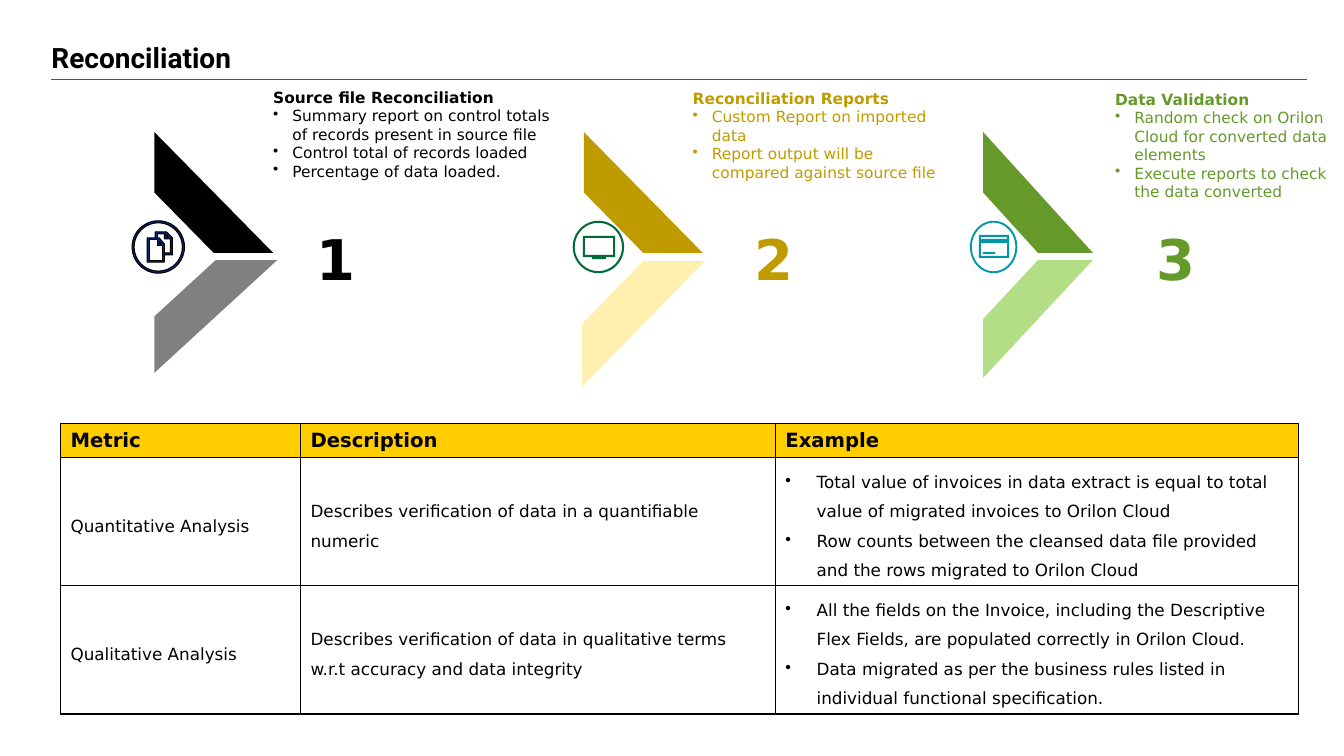
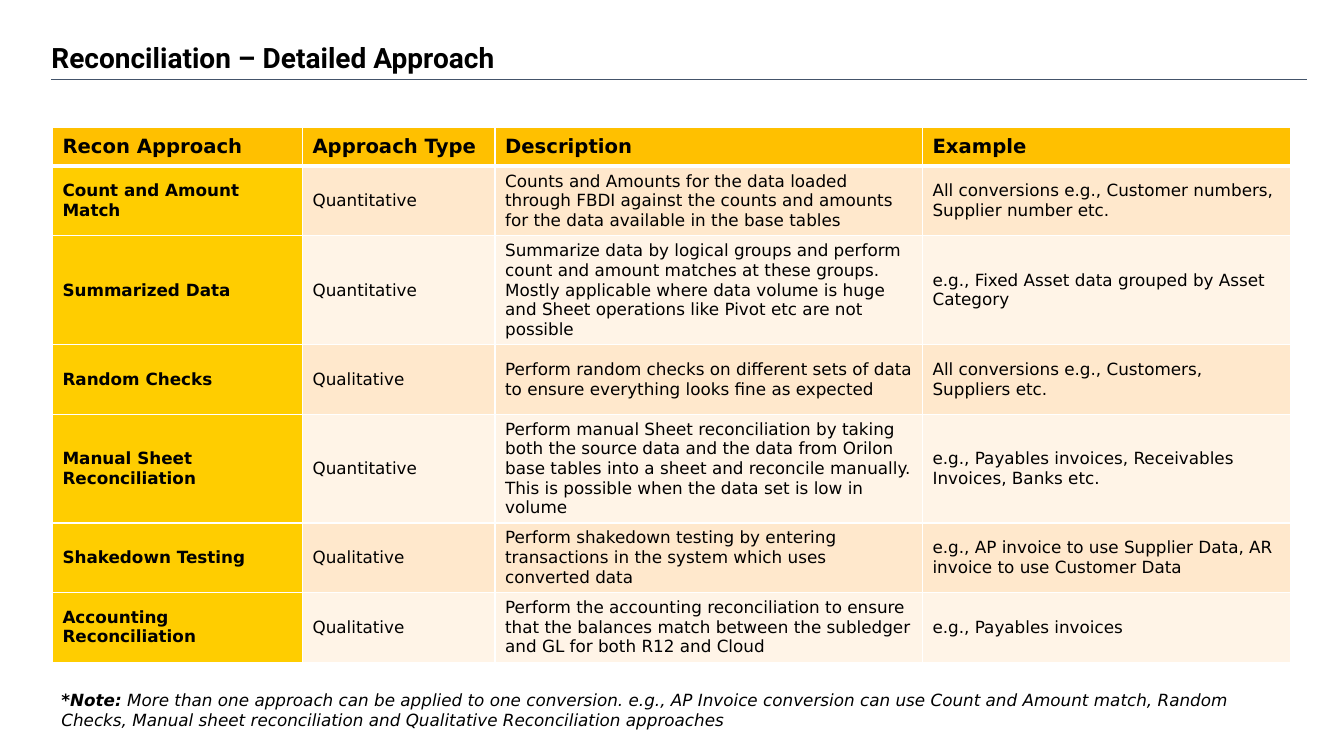
from dataclasses import dataclass

from lxml import etree
from pptx import Presentation
from pptx.dml.color import RGBColor
from pptx.enum import shapes as kinds, text as txt
from pptx.oxml import ns
from pptx.util import Inches, Pt


@dataclass(frozen=True)
class Theme:
    title_font: str = "Roboto"
    body_font: str = "DejaVu Sans"
    ink: str = "000000"
    white: str = "FFFFFF"
    rule: str = "44546A"
    yellow: str = "FFCD00"
    amber: str = "FFC000"
    bands: tuple = ("FFE8CC", "FFF4E7")
    title_size: int = 20
    head_size: int = 14
    body_size: int = 12
    step_size: int = 11
    number_size: int = 40


THEME = Theme()


@dataclass(frozen=True)
class Step:
    """One stage; boxes are (left, top, width, height) in inches within the row."""
    number: str
    heading: str
    points: tuple
    color: str
    tint: str
    icon_color: str
    icon: tuple
    text_box: tuple
    number_left: float
    upper: tuple
    lower: tuple
    ring: tuple
    icon_outlined: bool = False


def rectangle(left, top, right, bottom):
    return ((left, top), (right, top), (right, bottom), (left, bottom))


# Icon contours in inches from the top left of the ring; nested contours are holes.
PAGES = (
    ((.4, .17), (.34, .11), (.23, .11), (.23, .17), (.15, .17), (.15, .41),
     (.32, .41), (.32, .34), (.4, .34)),
    ((.34, .14), (.36, .16), (.34, .16)),
    ((.3, .39), (.17, .39), (.17, .19), (.25, .19), (.25, .25), (.3, .25)),
    ((.27, .23), (.27, .21), (.29, .23)),
    ((.38, .32), (.32, .32), (.32, .23), (.27, .17), (.25, .17), (.25, .13),
     (.32, .13), (.32, .18), (.38, .18)),
)
MONITOR = (
    ((.1, .15), (.42, .15), (.42, .36), (.33, .36), (.33, .38), (.19, .38),
     (.19, .36), (.1, .36)),
    rectangle(.12, .17, .4, .34),
)
CARD = (
    rectangle(.09, .14, .39, .37),
    rectangle(.11, .16, .37, .18),
    rectangle(.11, .22, .37, .35),
    rectangle(.13, .31, .25, .33),
)

STEPS = (
    Step("1", "Source file Reconciliation",
         ("Summary report on control totals of records present in source file",
          "Control total of records loaded", "Percentage of data loaded."),
         "000000", "808080", "002776", PAGES,
         text_box=(2.71, 0, 2.81, .93), number_left=3.1,
         upper=(1.53, .44, 1.18, 1.2), lower=(1.53, 1.71, 1.22, 1.12),
         ring=(1.31, 1.32, .52, .52), icon_outlined=True),
    Step("2", "Reconciliation Reports",
         ("Custom Report on imported data",
          "Report output will be compared against source file"),
         "C09B00", "FFF0AF", "046A38", MONITOR,
         text_box=(6.87, .01, 2.51, .93), number_left=7.44,
         upper=(5.79, .44, 1.18, 1.2), lower=(5.77, 1.72, 1.22, 1.25),
         ring=(5.68, 1.32, .51, .52)),
    Step("3", "Data Validation",
         ("Random check on Orilon Cloud for converted data elements",
          "Execute reports to check the data converted"),
         "659A2A", "B4DE86", "0097A9", CARD,
         text_box=(11.06, .02, 2.38, 1.11), number_left=11.43,
         upper=(9.75, .44, 1.09, 1.2), lower=(9.75, 1.71, 1.09, 1.17),
         ring=(9.62, 1.32, .47, .52)),
)

METRICS = (
    ("Metric", "Description", "Example"),
    ("Quantitative Analysis", "Describes verification of data in a quantifiable numeric",
     ("Total value of invoices in data extract is equal to total value of migrated "
      "invoices to Orilon Cloud",
      "Row counts between the cleansed data file provided and the rows migrated to "
      "Orilon Cloud")),
    ("Qualitative Analysis",
     "Describes verification of data in qualitative terms w.r.t accuracy and data integrity",
     ("All the fields on the Invoice, including the Descriptive Flex Fields, are "
      "populated correctly in Orilon Cloud.",
      "Data migrated as per the business rules listed in individual functional "
      "specification.")),
)

APPROACHES = (
    ("Recon Approach", "Approach Type", "Description", "Example"),
    ("Count and Amount Match", "Quantitative",
     "Counts and Amounts for the data loaded through FBDI against the counts and "
     "amounts for the data available in the base tables",
     "All conversions e.g., Customer numbers, Supplier number etc."),
    ("Summarized Data", "Quantitative",
     "Summarize data by logical groups and perform count and amount matches at these "
     "groups. Mostly applicable where data volume is huge and Sheet operations like "
     "Pivot etc are not possible",
     "e.g., Fixed Asset data grouped by Asset Category"),
    ("Random Checks", "Qualitative",
     "Perform random checks on different sets of data to ensure everything looks fine "
     "as expected",
     "All conversions e.g., Customers, Suppliers etc."),
    ("Manual Sheet Reconciliation", "Quantitative",
     "Perform manual Sheet reconciliation by taking both the source data and the data "
     "from Orilon base tables into a sheet and reconcile manually. This is possible "
     "when the data set is low in volume",
     "e.g., Payables invoices, Receivables Invoices, Banks etc."),
    ("Shakedown Testing", "Qualitative",
     "Perform shakedown testing by entering transactions in the system which uses "
     "converted data",
     "e.g., AP invoice to use Supplier Data, AR invoice to use Customer Data"),
    ("Accounting Reconciliation", "Qualitative",
     "Perform the accounting reconciliation to ensure that the balances match between "
     "the subledger and GL for both R12 and Cloud",
     "e.g., Payables invoices"),
)

NOTE = ("*Note:", " More than one approach can be applied to one conversion. e.g., AP "
        "Invoice conversion can use Count and Amount match, Random Checks, Manual sheet "
        "reconciliation and Qualitative Reconciliation approaches")


def inches(*lengths):
    return [Inches(length) for length in lengths]


def rgb(color):
    return RGBColor.from_string(color)


def style(run, size, color=THEME.ink, bold=False, italic=False, font=THEME.body_font):
    run.font.size, run.font.name = Pt(size), font
    run.font.bold, run.font.italic = bold, italic
    run.font.color.rgb = rgb(color)


def bullet(paragraph, indent):
    properties = paragraph._p.get_or_add_pPr()
    properties.set("marL", str(Inches(indent)))
    properties.set("indent", str(-Inches(indent)))
    etree.SubElement(properties, ns.qn("a:buChar")).set("char", "•")


def write(frame, lines, size, color=THEME.ink, bold=False, indent=0, spacing=None):
    """Append lines as paragraphs, filling the first one if it is empty."""
    for line in lines:
        first = frame.paragraphs[0]
        paragraph = frame.add_paragraph() if first.runs else first
        paragraph.text = line
        if indent:
            bullet(paragraph, indent)
        if spacing:
            paragraph.line_spacing = spacing
        style(paragraph.runs[0], size, color, bold)


def add_text(slide, box, margin=None):
    frame = slide.shapes.add_textbox(*inches(*box)).text_frame
    frame.word_wrap = True
    frame.auto_size = txt.MSO_AUTO_SIZE.SHAPE_TO_FIT_TEXT
    if margin is not None:
        set_margins(frame, margin)
    return frame


def set_margins(frame, margin):
    frame.margin_left = frame.margin_right = Inches(margin)
    frame.margin_top = frame.margin_bottom = Inches(margin)


def paint(shape, fill, line=None):
    shape.shadow.inherit = False
    shape.fill.solid()
    shape.fill.fore_color.rgb = rgb(fill)
    if line:
        shape.line.color.rgb = rgb(line)
        shape.line.width = Pt(0.75)
    else:
        shape.line.fill.background()


def titled_slide(deck, heading):
    slide = deck.slides.add_slide(deck.slide_layouts[5])
    title = slide.shapes.title
    title.left, title.top, title.width, title.height = inches(.51, .44, 12.31, .37)
    frame = title.text_frame
    frame.text = heading
    frame.auto_size = txt.MSO_AUTO_SIZE.NONE
    frame.vertical_anchor = txt.MSO_ANCHOR.TOP
    set_margins(frame, 0)
    paragraph = frame.paragraphs[0]
    paragraph.alignment = txt.PP_ALIGN.LEFT
    paragraph.line_spacing = 0.9
    style(paragraph.runs[0], THEME.title_size, bold=True, font=THEME.title_font)
    rule = slide.shapes.add_connector(kinds.MSO_CONNECTOR.STRAIGHT,
                                      *inches(.51, .79, 12.96, .79))
    rule.line.color.rgb = rgb(THEME.rule)
    rule.line.width = Pt(0.5)
    etree.SubElement(rule._element.spPr, ns.qn("a:effectLst"))
    return slide


def add_icon(slide, step, left, top, width, height):
    line = THEME.ink if step.icon_outlined else None
    parts = slide.shapes.add_group_shape().shapes
    (start, *rest), *holes = step.icon
    builder = parts.build_freeform(*inches(*start))
    builder.add_line_segments([inches(*point) for point in rest])
    for hole in holes:
        builder.move_to(*inches(*hole[0]))
        builder.add_line_segments([inches(*point) for point in hole[1:]])
    paint(builder.convert_to_shape(*inches(left, top)), step.icon_color, line)
    ring = parts.add_shape(kinds.MSO_SHAPE.DONUT, *inches(left, top, width, height))
    ring.adjustments[0] = 0.04
    paint(ring, step.icon_color, line)


def add_step(slide, step, row_top):
    def placed(box):
        left, top, width, height = box
        return left, row_top + top, width, height

    for box, color in ((step.lower, step.tint), (step.upper, step.color)):
        stripe = slide.shapes.add_shape(kinds.MSO_SHAPE.DIAGONAL_STRIPE,
                                        *inches(*placed(box)))
        paint(stripe, color)
    stripe._element.spPr.find(ns.qn("a:xfrm")).set("flipV", "1")
    add_icon(slide, step, *placed(step.ring))
    frame = add_text(slide, placed(step.text_box), margin=0)
    write(frame, [step.heading], THEME.step_size, step.color, bold=True)
    write(frame, step.points, THEME.step_size, step.color, indent=.19)
    number = add_text(slide, placed((step.number_left, 1.32, .42, .75)), margin=.04)
    write(number, [step.number], THEME.number_size, step.color, bold=True)


def border(cell, color, bottom_width=1):
    for side in "LRTB":
        line = etree.SubElement(cell._tc.get_or_add_tcPr(), ns.qn("a:ln" + side))
        line.set("w", str(Pt(bottom_width if side == "B" else 1)))
        fill = etree.SubElement(line, ns.qn("a:solidFill"))
        etree.SubElement(fill, ns.qn("a:srgbClr")).set("val", color)


def add_grid(slide, rows, left, top, widths, heights, line, fill_of, head_line=1,
             bold_first=False, spacing=None):
    """Table whose cell fills come from fill_of(row, column); tuples become bullets."""
    table = slide.shapes.add_table(
        len(rows), len(widths), *inches(left, top, sum(widths), sum(heights))).table
    table.horz_banding = False
    for column, width in zip(table.columns, widths):
        column.width = Inches(width)
    for r, (values, height) in enumerate(zip(rows, heights)):
        table.rows[r].height = Inches(height)
        for c, value in enumerate(values):
            cell = table.cell(r, c)
            border(cell, line, head_line if r == 0 else 1)
            cell.fill.solid()
            cell.fill.fore_color.rgb = rgb(fill_of(r, c))
            cell.vertical_anchor = txt.MSO_ANCHOR.MIDDLE
            listed = isinstance(value, tuple)
            write(cell.text_frame, value if listed else [value],
                  THEME.body_size if r else THEME.head_size,
                  bold=r == 0 or (bold_first and c == 0),
                  indent=.31 if listed else 0, spacing=spacing if r else None)


def reconciliation_slide(deck):
    slide = titled_slide(deck, "Reconciliation")
    add_grid(slide, METRICS, .6, 4.2, (2.38, 4.71, 5.19), (.34, 1.27, 1.27), THEME.ink,
             lambda r, c: THEME.white if r else THEME.yellow, spacing=1.5)
    for step in STEPS:
        add_step(slide, step, row_top=.87)


def approach_fill(row, column):
    if row == 0:
        return THEME.amber
    return THEME.bands[(row - 1) % 2] if column else THEME.yellow


def approach_slide(deck):
    slide = titled_slide(deck, "Reconciliation – Detailed Approach")
    add_grid(slide, APPROACHES, .52, 1.26, (2.48, 1.91, 4.24, 3.65),
             (.39, .69, 1.08, .69, 1.08, .69, .69), THEME.white, approach_fill,
             head_line=3, bold_first=True)
    note = add_text(slide, (.51, 6.79, 12.28, .5)).paragraphs[0]
    for index, part in enumerate(NOTE):
        run = note.add_run()
        run.text = part
        style(run, THEME.body_size, bold=index == 0, italic=True)


def main():
    deck = Presentation()
    deck.slide_width, deck.slide_height = inches(13.33, 7.5)
    reconciliation_slide(deck)
    approach_slide(deck)
    deck.save("out.pptx")


if __name__ == "__main__":
    main()
